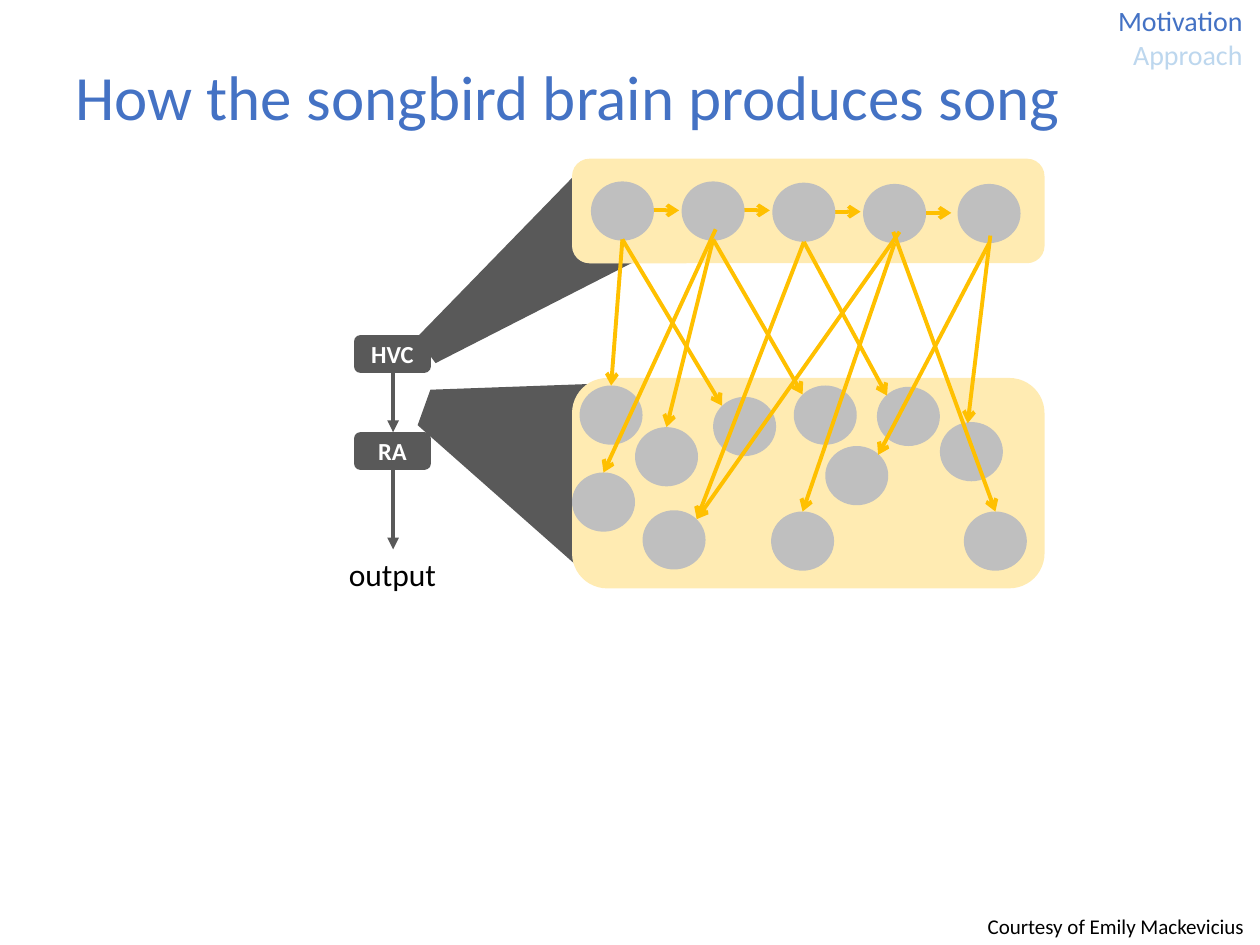
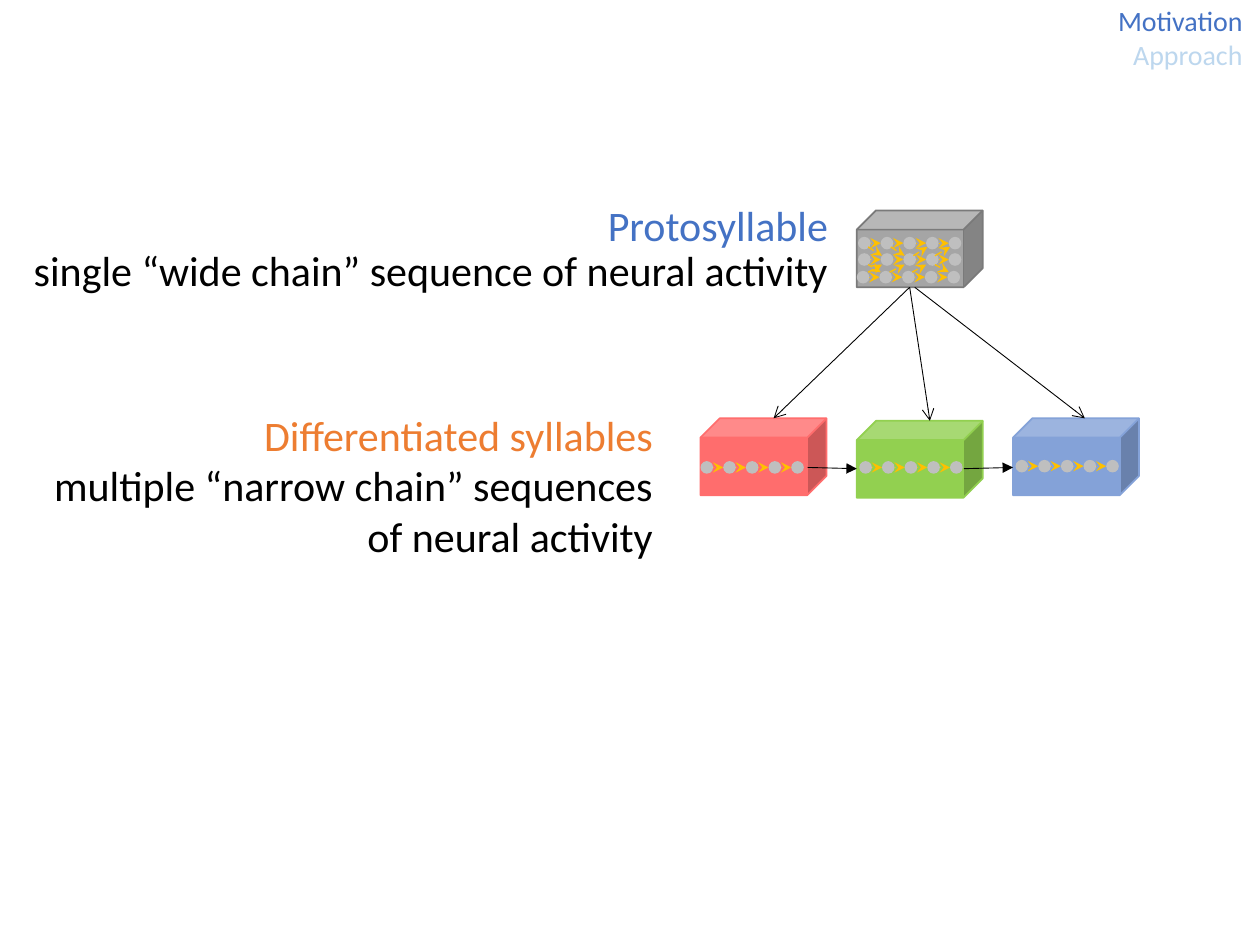
from lxml import etree
from pptx import Presentation
from pptx.dml.color import RGBColor
from pptx.enum.shapes import MSO_CONNECTOR, MSO_SHAPE
from pptx.enum.text import MSO_ANCHOR, MSO_AUTO_SIZE, PP_ALIGN
from pptx.oxml.ns import qn
from pptx.util import Inches, Pt

BLUE = RGBColor(0x44, 0x72, 0xC4)
PALE = RGBColor(0xBD, 0xD7, 0xEE)
ORANGE = RGBColor(0xED, 0x7D, 0x31)
GOLD = RGBColor(0xFF, 0xC0, 0x00)
DARK = RGBColor(0x59, 0x59, 0x59)
SILVER = RGBColor(0xBF, 0xBF, 0xBF)
GREY = RGBColor(0xA5, 0xA5, 0xA5)
EDGE = RGBColor(0x7A, 0x7A, 0x7A)
GREEN = RGBColor(0x92, 0xD0, 0x50)
RED = RGBColor(0xFF, 0x6D, 0x6D)
SKY = RGBColor(0x84, 0xA2, 0xD8)
BLACK = RGBColor(0, 0, 0)
WHITE = RGBColor(0xFF, 0xFF, 0xFF)

OVAL = MSO_SHAPE.OVAL
ROUND = MSO_SHAPE.ROUNDED_RECTANGLE
WEDGE = MSO_SHAPE.TRAPEZOID
CUBE = MSO_SHAPE.CUBE
LINE = MSO_CONNECTOR.STRAIGHT
LEFT, RIGHT, CENTER = PP_ALIGN.LEFT, PP_ALIGN.RIGHT, PP_ALIGN.CENTER
MIDDLE = MSO_ANCHOR.MIDDLE
FIT = MSO_AUTO_SIZE.SHAPE_TO_FIT_TEXT

WRAP = {"word_wrap": True}
FREE = {"word_wrap": False, "auto_size": FIT}
MID = {"word_wrap": True, "vertical_anchor": MIDDLE}


def put(page, kind, box, fill, edge=None):
    shape = page.shapes.add_shape(kind, *map(Inches, box))
    shape.shadow.inherit = False
    shape.fill.solid()
    shape.fill.fore_color.rgb = fill
    if edge:
        shape.line.color.rgb = edge
        shape.line.width = Pt(1)
    else:
        shape.line.fill.background()
    return shape


def link(page, start, end, color, width, head):
    line = page.shapes.add_connector(LINE, *map(Inches, (*start, *end)))
    line.line.color.rgb = color
    line.line.width = Pt(width)
    etree.SubElement(line.line._get_or_add_ln(), qn("a:tailEnd"), type=head)
    etree.SubElement(line._element.spPr, qn("a:effectLst"))


deck = Presentation()
deck.slide_width, deck.slide_height = Inches(10), Inches(7.5)
song, chain = [deck.slides.add_slide(deck.slide_layouts[6]) for _ in range(2)]

top = [(4.69, 1.44), (5.41, 1.44), (6.13, 1.45), (6.85, 1.46), (7.6, 1.46)]
low = [(5.66, 3.15), (5.04, 3.39), (5.1, 4.05), (7.46, 3.35), (6.55, 3.54), (6.12, 4.06),
       (6.96, 3.07), (7.65, 4.06), (4.54, 3.75), (4.6, 3.06), (6.3, 3.06)]
areas = [
    ((3.7, 1.29, 0.87, 1.87), 233.6, 0.355, (4.54, 1.26, 3.75, 0.83), top),
    ((3.34, 2.66, 1.68, 1.73), 289.7, 0.411, (4.54, 3, 3.75, 1.67), low),
]
for beam, turn, slant, panel, cells in areas:
    wedge = put(song, WEDGE, beam, DARK)
    wedge.rotation = turn
    wedge.adjustments[0] = slant
    put(song, ROUND, panel, WHITE)
    tint = put(song, ROUND, panel, GOLD)
    color = tint._element.spPr.find(".//" + qn("a:srgbClr"))
    etree.SubElement(color, qn("a:alpha"), val="30000")
    if cells is top:
        for x, y in cells[:-1]:
            link(song, (x + 0.48, y + 0.23), (x + 0.7, y + 0.23), GOLD, 2.25, "arrow")
    for x, y in cells:
        put(song, OVAL, (x, y, 0.5, 0.47), SILVER)

wires = [
    ((4.94, 1.9), (4.85, 3.06)), ((4.94, 1.9), (5.73, 3.22)), ((5.68, 1.82), (4.79, 3.75)),
    ((6.38, 1.92), (7.04, 3.14)), ((7.14, 1.84), (5.53, 4.12)), ((7.85, 1.93), (6.97, 3.61)),
    ((6.38, 1.92), (5.53, 4.12)), ((5.66, 1.9), (5.29, 3.39)), ((7.86, 1.87), (7.68, 3.36)),
    ((7.09, 1.84), (7.9, 4.06)), ((7.1, 1.93), (6.37, 4.06)), ((5.66, 1.9), (6.37, 3.13)),
]
for start, end in wires:
    link(song, start, end, GOLD, 2.25, "arrow")

for name, y, stop in [("HVC", 2.66, 3.43), ("RA", 3.43, 4.36)]:
    node = put(song, ROUND, (2.81, y, 0.61, 0.3), DARK)
    frame = node.text_frame
    frame.vertical_anchor = MIDDLE
    para = frame.paragraphs[0]
    para.text = name
    para.alignment = CENTER
    for key, value in {"name": "Calibri", "size": Pt(14), "bold": True}.items():
        setattr(para.font, key, value)
    para.font.color.rgb = WHITE
    link(song, (3.12, y + 0.3), (3.12, stop), DARK, 2.25, "triangle")

cubes = [(6.8, 1.67, GREY, EDGE), (6.8, 3.34, GREEN, GREEN),
         (5.56, 3.32, RED, RED), (8.04, 3.32, SKY, SKY)]
for x, y, fill, edge in cubes:
    put(chain, CUBE, (x, y, 1, 0.61), fill, edge)
for start, end in [((7.22, 2.28), (6.14, 3.32)), ((7.22, 2.28), (7.38, 3.34)),
                   ((7.26, 2.28), (8.61, 3.32))]:
    link(chain, start, end, BLACK, 0.5, "arrow")

rows = [(5.56, 3.66), (6.82, 3.66), (8.06, 3.65), (6.81, 1.88), (6.81, 2.01), (6.8, 2.15)]
for left, y in rows:
    for i in range(5):
        x = left + 0.18 * i
        if i < 4:
            link(chain, (x + 0.1, y + 0.05), (x + 0.18, y + 0.05), GOLD, 0.75, "stealth")
        put(chain, OVAL, (x, y, 0.1, 0.1), SILVER)
for start, end in [((6.41, 3.71), (6.8, 3.72)), ((7.65, 3.72), (8.04, 3.71))]:
    link(chain, start, end, BLACK, 0.5, "triangle")

cross = [
    ((7.06, 2.16), (7.18, 2.1)), ((7.42, 2.1), (7.53, 2.16)), ((7.42, 2.03), (7.54, 1.96)),
    ((7.24, 2.16), (7.35, 2.1)), ((7.25, 2.03), (7.36, 1.96)), ((6.89, 1.96), (7, 2.03)),
    ((6.89, 2.1), (6.99, 2.16)), ((7.07, 1.96), (7.18, 2.03)), ((6.89, 2.16), (7, 2.1)),
]
for start, end in cross:
    link(chain, start, end, GOLD, 0.75, "stealth")

tags = [("Motivation", BLUE), ("Approach", PALE)]
texts = [(page, (8.65, -0.02, 1.31, 0.64), 16, RIGHT, 1, WRAP, tags) for page in (song, chain)]
texts += [
    (song, (0.5, 0.17, 9, 1.25), 36, LEFT, 0.9, MID,
     [("How the songbird brain produces song", BLUE)]),
    (song, (7.74, 7.2, 2.26, 0.3), 12, LEFT, 1, FREE,
     [("Courtesy of Emily Mackevicius", BLACK)]),
    (song, (2.67, 4.36, 0.9, 0.4), 18, LEFT, 1, FREE, [("output", BLACK)]),
    (chain, (-0.35, 1.58, 7.02, 1.27), 24, RIGHT, 0.9, WRAP,
     [("Protosyllable", BLUE), ("single “wide chain” sequence of neural activity", BLACK)]),
    (chain, (0, 3.2, 5.28, 1.31), 24, RIGHT, 1, WRAP,
     [("Differentiated syllables", ORANGE),
      ("multiple “narrow chain” sequences of neural activity", BLACK)]),
]
for page, box, size, align, space, style, lines in texts:
    frame = page.shapes.add_textbox(*map(Inches, box)).text_frame
    for key, value in style.items():
        setattr(frame, key, value)
    for i, (words, color) in enumerate(lines):
        para = frame.add_paragraph() if i else frame.paragraphs[0]
        para.text = words
        para.alignment = align
        para.line_spacing = space
        for key, value in {"name": "Calibri", "size": Pt(size)}.items():
            setattr(para.font, key, value)
        para.font.color.rgb = color

deck.save("out.pptx")
